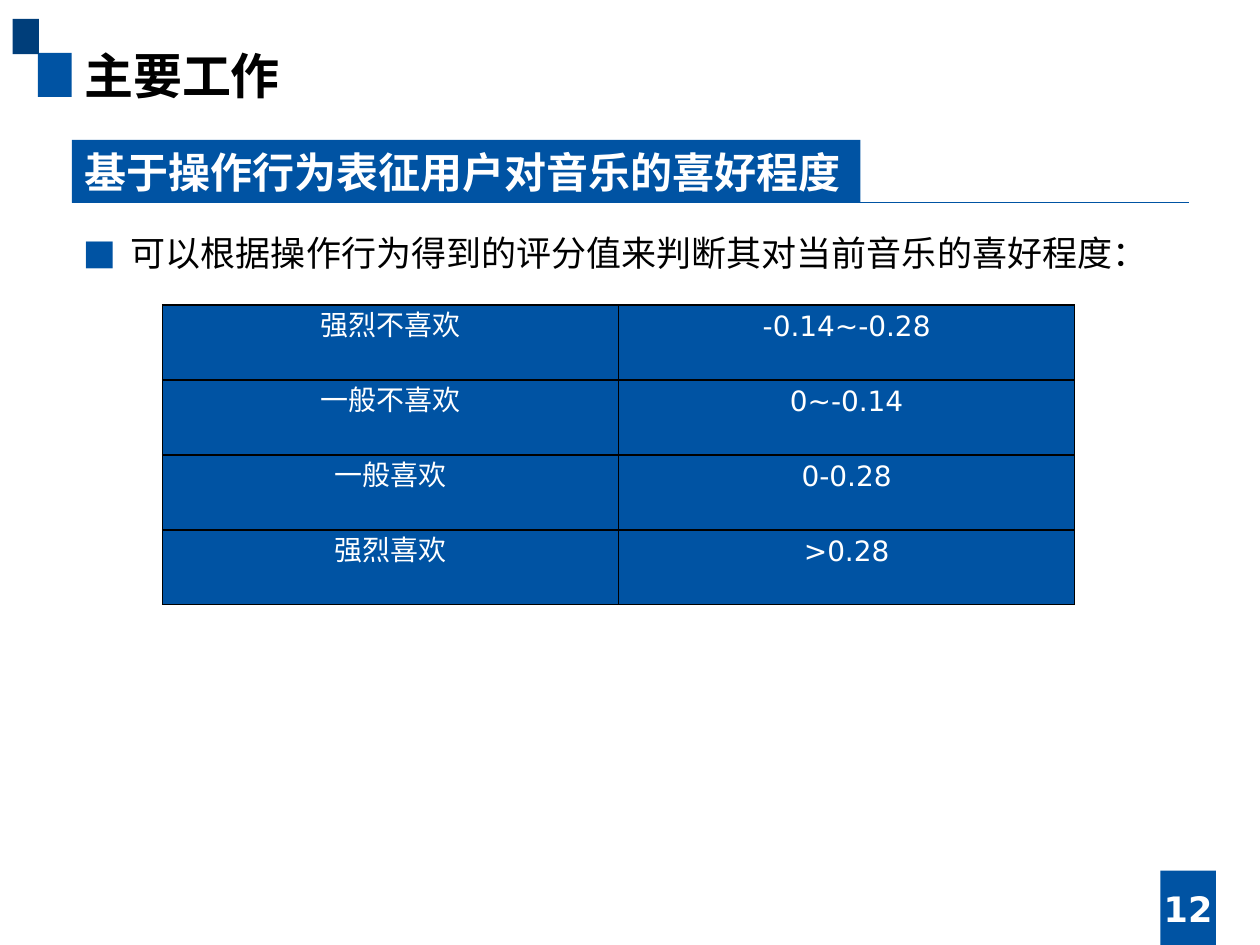
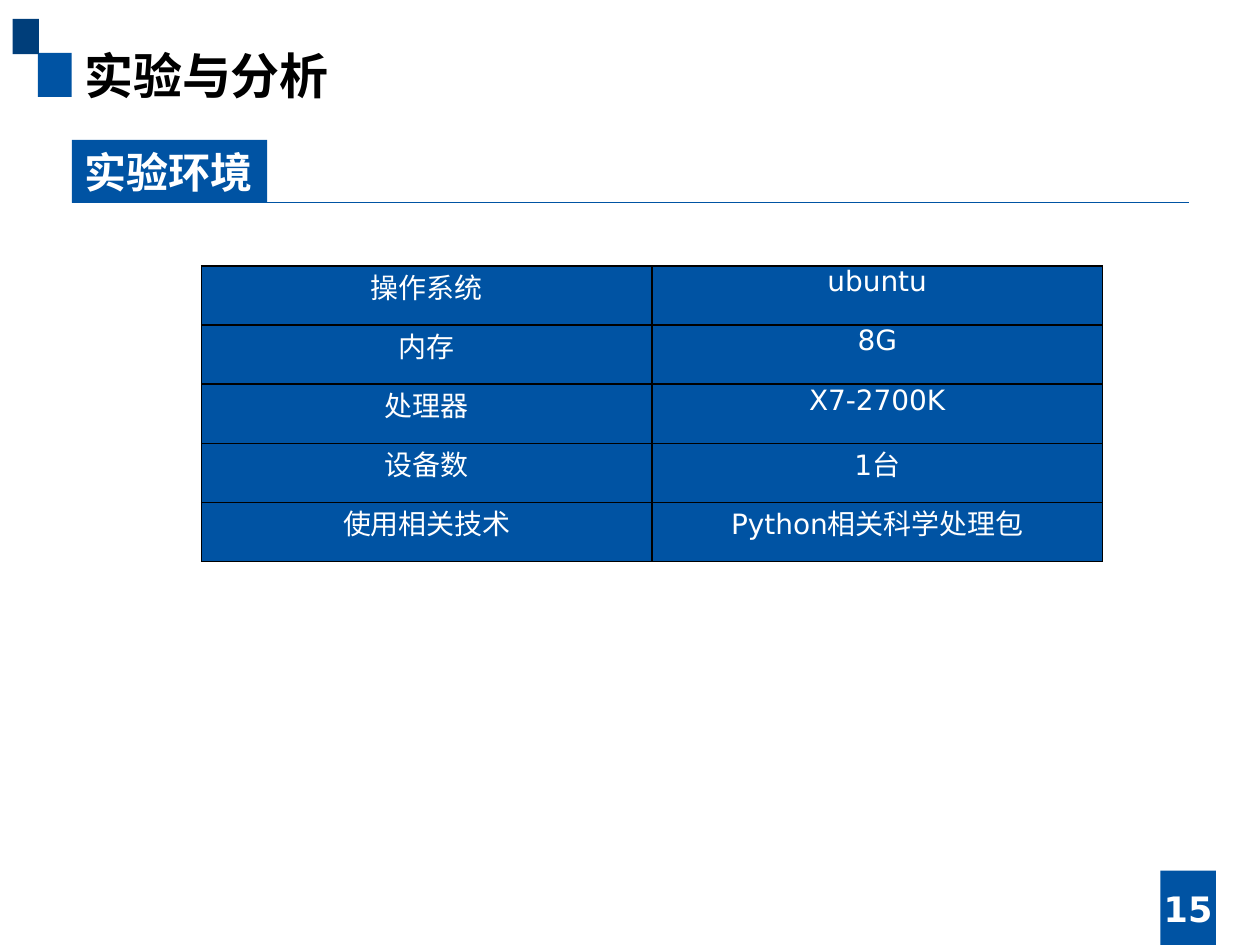
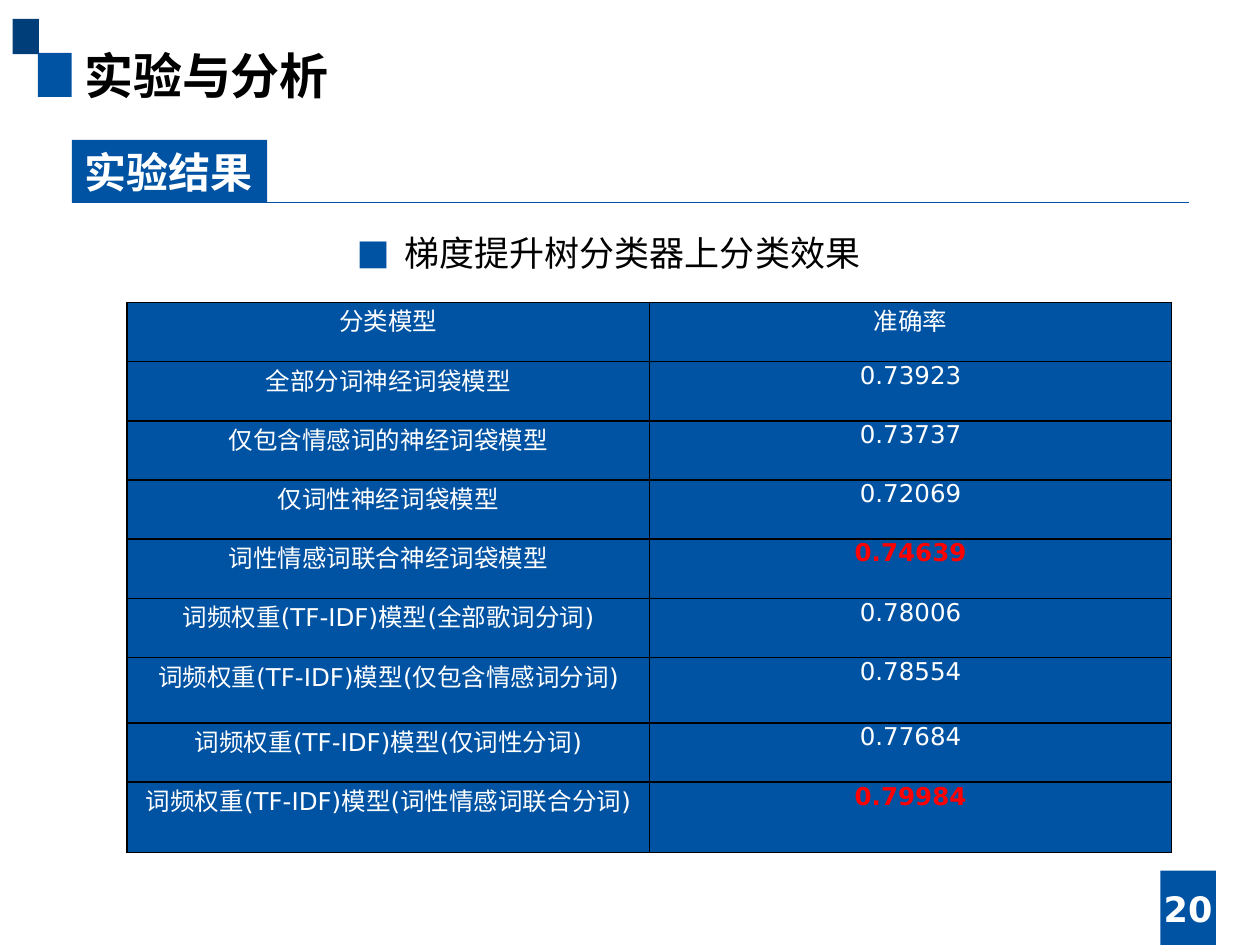
import pptx
import pptx.util
import pptx.dml.color
import pptx.enum.shapes
import pptx.enum.text
from lxml import etree
from pptx.util import Inches

A = "{http://schemas.openxmlformats.org/drawingml/2006/main}"
C = {"blue": "0053A3", "navy": "003E7A", "white": "FFFFFF", "black": "000000", "red": "FF0000"}
LATIN, CJK = "DejaVu Sans", "Noto Sans CJK SC"
RECT = pptx.enum.shapes.MSO_SHAPE.RECTANGLE
ALIGN = pptx.enum.text.PP_ALIGN
ANCHOR = pptx.enum.text.MSO_ANCHOR

# Slide contents
slides = [
    {"number": "12", "title": "主要工作",
     "heading": "基于操作行为表征用户对音乐的喜好程度", "heading_width": 6.26,
     "bullet": "可以根据操作行为得到的评分值来判断其对当前音乐的喜好程度：", "bullet_align": ALIGN.LEFT,
     "left": 1.29, "top": 2.42, "width": 7.24, "heights": [0.595] * 4,
     "size": 16, "spacing": pptx.util.Pt(22), "highlights": [],
     "rows": [("强烈不喜欢", "-0.14~-0.28"),
              ("一般不喜欢", "0~-0.14"),
              ("一般喜欢", "0-0.28"),
              ("强烈喜欢", ">0.28")]},
    {"number": "15", "title": "实验与分析",
     "heading": "实验环境", "heading_width": 1.55, "bullet": None,
     "left": 1.6, "top": 2.11, "width": 7.15, "heights": [0.47] * 5,
     "size": 16, "spacing": None, "highlights": [],
     "rows": [("操作系统", "ubuntu"),
              ("内存", "8G"),
              ("处理器", "X7-2700K"),
              ("设备数", "1台"),
              ("使用相关技术", "Python相关科学处理包")]},
    {"number": "20", "title": "实验与分析",
     "heading": "实验结果", "heading_width": 1.55,
     "bullet": "梯度提升树分类器上分类效果", "bullet_align": ALIGN.CENTER,
     "left": 1.01, "top": 2.4, "width": 8.29, "heights": [0.47] * 6 + [0.52, 0.47, 0.56],
     "size": 14, "spacing": None, "highlights": ["0.74639", "0.79984"],
     "rows": [("分类模型", "准确率"),
              ("全部分词神经词袋模型", "0.73923"),
              ("仅包含情感词的神经词袋模型", "0.73737"),
              ("仅词性神经词袋模型", "0.72069"),
              ("词性情感词联合神经词袋模型", "0.74639"),
              ("词频权重(TF-IDF)模型(全部歌词分词)", "0.78006"),
              ("词频权重(TF-IDF)模型(仅包含情感词分词)", "0.78554"),
              ("词频权重(TF-IDF)模型(仅词性分词)", "0.77684"),
              ("词频权重(TF-IDF)模型(词性情感词联合分词)", "0.79984")]},
]


def write(tf, text, size, color, bold=False, align=ALIGN.LEFT, latin=LATIN):
    tf.text = text
    p = tf.paragraphs[0]
    p.alignment = align
    font = p.runs[0].font
    font.size, font.bold, font.name = pptx.util.Pt(size), bold, latin
    font.color.rgb = pptx.dml.color.RGBColor.from_string(C[color])
    etree.SubElement(p.runs[0]._r.get_or_add_rPr(), A + "ea", typeface=CJK)
    return p


def add_rect(s, left, top, width, height, color):
    sp = s.shapes.add_shape(RECT, Inches(left), Inches(top), Inches(width), Inches(height))
    sp.shadow.inherit = False
    sp.fill.solid()
    sp.fill.fore_color.rgb = pptx.dml.color.RGBColor.from_string(C[color])
    sp.line.fill.background()
    return sp


prs = pptx.Presentation()
prs.slide_width, prs.slide_height = Inches(10), Inches(7.5)

for page in slides:
    s = prs.slides.add_slide(prs.slide_layouts[6])

    # Corner squares and page number block
    add_rect(s, 0.3, 0.42, 0.27, 0.35, "blue")
    add_rect(s, 0.1, 0.15, 0.21, 0.28, "navy")
    add_rect(s, 9.21, 6.91, 0.44, 0.59, "blue")

    # Title and page number
    tf = s.shapes.add_textbox(Inches(0.57), Inches(0.31), Inches(4.43), Inches(0.57)).text_frame
    tf.word_wrap = True
    write(tf, page["title"], 28, "black", True, latin=CJK)
    tf = s.shapes.add_textbox(Inches(8.86), Inches(7.01), Inches(1.14), Inches(0.4)).text_frame
    tf.word_wrap = True
    tf.vertical_anchor = ANCHOR.MIDDLE
    write(tf, page["number"], 20, "white", True, ALIGN.CENTER)

    # Section heading with its rule
    tf = add_rect(s, 0.57, 1.11, page["heading_width"], 0.5, "blue").text_frame
    tf.word_wrap = False
    tf.vertical_anchor = ANCHOR.TOP
    write(tf, page["heading"], 24, "white", True)
    rule = s.shapes.add_connector(pptx.enum.shapes.MSO_CONNECTOR.STRAIGHT,
                                  Inches(0.57), Inches(1.61), Inches(9.44), Inches(1.61))
    rule.line.color.rgb = pptx.dml.color.RGBColor.from_string(C["blue"])
    rule.line.width = pptx.util.Pt(0.5)
    etree.SubElement(rule._element.spPr, A + "effectLst")

    # Bulleted statement
    if page["bullet"]:
        tf = s.shapes.add_textbox(Inches(0.56), Inches(1.79), Inches(8.54), Inches(0.44)).text_frame
        tf.word_wrap = True
        p = write(tf, page["bullet"], 20, "black", align=page["bullet_align"])
        pPr = p._p.get_or_add_pPr()
        pPr.set("marL", str(Inches(0.38)))
        pPr.set("indent", str(-Inches(0.38)))
        bullet_color = etree.SubElement(pPr, A + "buClr")
        etree.SubElement(bullet_color, A + "srgbClr", val=C["blue"])
        etree.SubElement(pPr, A + "buFont", typeface=LATIN)
        etree.SubElement(pPr, A + "buChar", char="■")

    # Two-column table
    rows, heights = page["rows"], page["heights"]
    table = s.shapes.add_table(len(rows), 2, Inches(page["left"]), Inches(page["top"]),
                               Inches(page["width"]), Inches(sum(heights))).table
    table.first_row = table.horz_banding = False
    for r, (texts, height) in enumerate(zip(rows, heights)):
        table.rows[r].height = Inches(height)
        for c, text in enumerate(texts):
            cell = table.cell(r, c)
            cell.margin_left = cell.margin_right = Inches(0.07)
            cell.margin_top = cell.margin_bottom = 0
            marked = text in page["highlights"]
            p = write(cell.text_frame, text, page["size"], "red" if marked else "white",
                      marked, ALIGN.CENTER)
            if page["spacing"]:
                p.line_spacing = page["spacing"]
            tcPr = cell._tc.get_or_add_tcPr()
            for side in ("lnL", "lnR", "lnT", "lnB"):
                border = etree.SubElement(tcPr, A + side, w=str(pptx.util.Pt(1)))
                line_fill = etree.SubElement(border, A + "solidFill")
                etree.SubElement(line_fill, A + "srgbClr", val=C["black"])
            cell.fill.solid()
            cell.fill.fore_color.rgb = pptx.dml.color.RGBColor.from_string(C["blue"])

prs.save("out.pptx")
